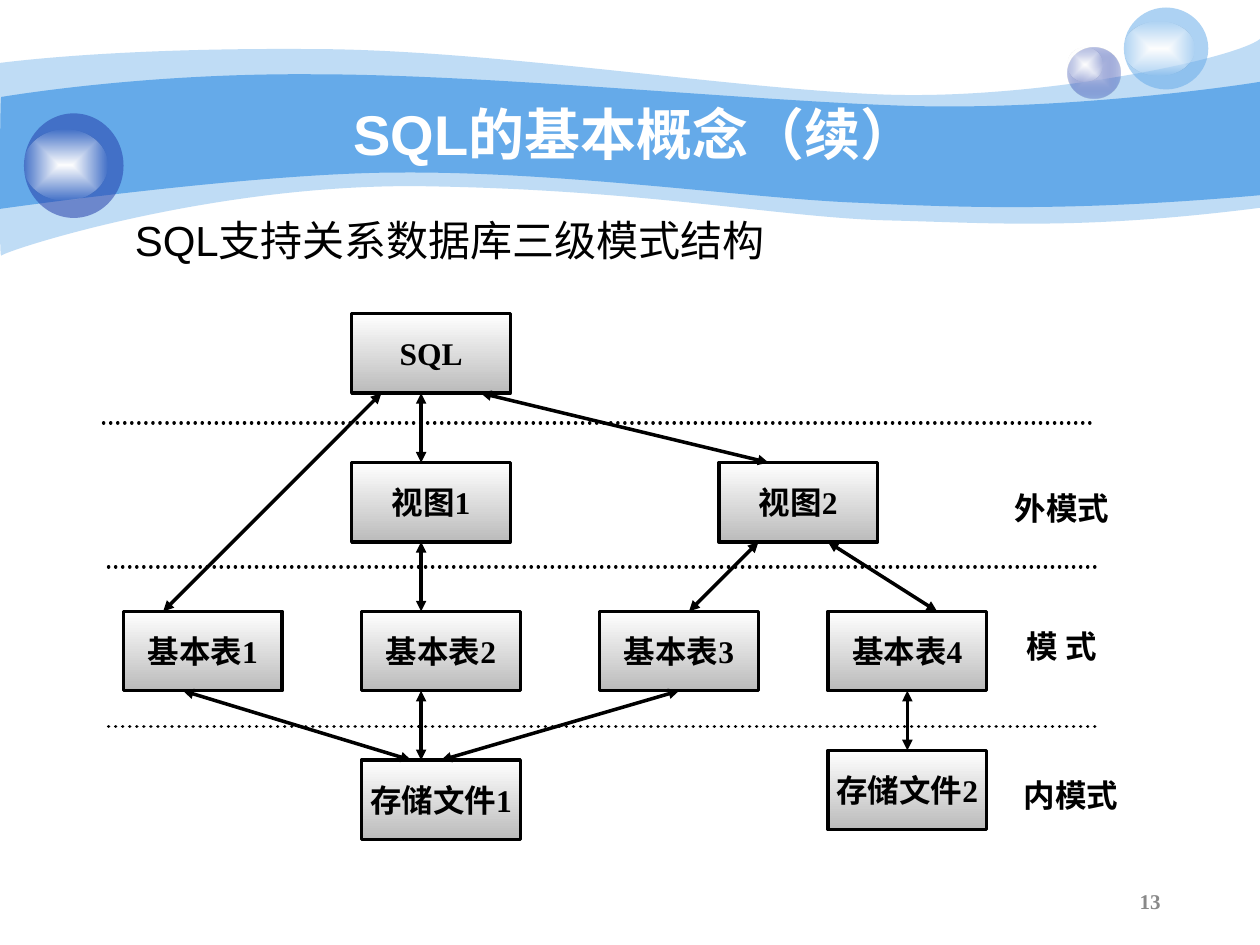
"""Build a slide on the three-level schema structure that SQL supports."""
from dataclasses import dataclass

from lxml.etree import SubElement
from pptx import Presentation
from pptx.dml.color import RGBColor
from pptx.enum.dml import MSO_LINE
from pptx.enum.shapes import MSO_CONNECTOR, MSO_SHAPE
from pptx.enum.text import MSO_ANCHOR as Anchor, PP_ALIGN as Align
from pptx.oxml.ns import qn
from pptx.util import Emu, Inches, Pt

COLORS = {"sky": "65AAE9", "navy": "233DA9", "pearl": "C7CEE9", "white": "FFFFFF",
          "silver": "BBBBBB", "black": "000000", "gray": "898989"}
ARIAL, TIMES = "Arial", "Times New Roman"


@dataclass(frozen=True)
class Grid:
    left: int
    top: int
    cell: int

    def point(self, column: float, row: float) -> tuple:
        return Emu(round(self.left + column * self.cell)), Emu(round(self.top + row * self.cell))

    def frame(self, column: float, row: float, columns: float, rows: float) -> tuple:
        return *self.point(column, row), Emu(round(columns * self.cell)), Emu(round(rows * self.cell))


@dataclass(frozen=True)
class Wave:
    alpha: int
    start: tuple
    sections: tuple


@dataclass(frozen=True)
class Ball:
    frame: tuple
    shine: tuple
    colors: tuple
    alpha: int


@dataclass(frozen=True)
class Node:
    text: str
    column: float
    row: float


@dataclass(frozen=True)
class Link:
    start: tuple
    end: tuple


BOX_COLUMNS, BOX_ROWS = 16, 8
PAGE = Grid(0, 0, Inches(0.1))
DIAGRAM = Grid(Inches(0.98), Inches(2.49), Inches(1.26) / BOX_COLUMNS)
VIEW_ROW, TABLE_ROW, FILE_ROW = 15, 30, 45

WAVES = (
    Wave(41, (0, 5), (
        ((2.4, 4.7), (10.7, 3.8), (24.7, 3.9)), ((38.6, 3.9), (57.5, 7), (69.9, 7.5)),
        ((82.2, 8), (98, 4.7), (100, 3.1)), ((100, 16.5),),
        ((85.8, 18.3), (78.7, 17.7), (70.5, 17.5)), ((62.2, 17.3), (51.5, 15.1), (34.3, 14.8)),
        ((17.2, 14.4), (0.4, 19.9), (0.1, 20.3)), ((-0.1, 20.8), (0, 7.5), (0, 5)))),
    Wave(100, (0.1, 7.7), (
        ((0.2, 7.7), (11, 5.8), (24.8, 5.9)), ((38.6, 5.9), (59.5, 8), (71.8, 8.4)),
        ((84.1, 8.8), (97.6, 6.9), (100, 6.5)), ((100, 15.5),),
        ((85.3, 16.8), (76.5, 16.5), (68.2, 16.1)), ((59.9, 15.8), (44.7, 13.6), (31.7, 13.7)),
        ((20.3, 13.7), (-0.2, 16.6), (-0.1, 16.6)), ((0, 16.6), (0, 7.7), (0.1, 7.7)))),
)
BALLS = (
    Ball((84.7, 3.8, 4.2, 4), (84.7, 3.8, 2.8, 2.7), ("pearl", "navy"), 31),
    Ball((89.2, 0.6, 6.7, 6.5), (89.2, 1.7, 5.6, 4.3), ("sky",), 53),
    Ball((1.9, 9, 7.9, 8.3), (1.9, 10.3, 6.6, 5.6), ("navy",), 53),
)
NODES = (
    Node("SQL", 23, 0), Node("视图2", 60, VIEW_ROW), Node("视图1", 23, VIEW_ROW),
    Node("基本表2", 24, TABLE_ROW), Node("基本表1", 0, TABLE_ROW),
    Node("基本表3", 48, TABLE_ROW), Node("基本表4", 71, TABLE_ROW),
    Node("存储文件2", 71, FILE_ROW - 1), Node("存储文件1", 24, FILE_ROW),
)
LINKS = (
    Link((26, 8), (4, 30)), Link((30, 8), (30, 15)), Link((30, 23), (30, 30)),
    Link((30, 38), (30, 45)), Link((36, 8), (65, 15)), Link((64, 23), (57, 30)),
    Link((71, 23), (82, 30)), Link((6, 38), (29, 45)), Link((56, 38), (32, 45)),
    Link((79, 38), (79, 44)),
)
DIVIDERS = (Link((-2, 11), (98, 11)), Link((-1.5, 25.5), (98.5, 25.5)),
            Link((-1.5, 41.6), (98.5, 41.6)))
LABELS = (Node("外模式", 87.1, 17), Node("模 式", 87.1, 31), Node("内模式", 88, 46))


def rgb(name: str) -> RGBColor:
    return RGBColor.from_string(COLORS[name])


def set_alpha(color, percent: int) -> None:
    SubElement(color, qn("a:alpha")).set("val", str(percent * 1000))


def fill_solid(shape, name: str, alpha: int = 100) -> None:
    shape.fill.solid()
    shape.fill.fore_color.rgb = rgb(name)
    if alpha < 100:
        set_alpha(next(shape.element.spPr.iter(qn("a:srgbClr"))), alpha)


def fill_gradient(shape, names: tuple, alpha: int = 100, centered: bool = False) -> None:
    shape.fill.gradient()
    for stop, name in zip(shape.fill.gradient_stops, names):
        stop.color.rgb = rgb(name)
    if not centered:
        shape.fill.gradient_angle = 270
        return
    gradient = shape.element.spPr.find(qn("a:gradFill"))
    set_alpha(list(gradient.iter(qn("a:srgbClr")))[-1], alpha)
    gradient.remove(gradient.find(qn("a:lin")))
    center = SubElement(gradient, qn("a:path"), {"path": "rect"})
    SubElement(center, qn("a:fillToRect"), {side: "50000" for side in "ltrb"})


def write(shape, text: str, *, size: float = 18, font: str = TIMES, color: str = "black",
          bold: bool = True, align=Align.CENTER, anchor=Anchor.MIDDLE,
          wrap: bool = True, spacing: float = 1.0) -> None:
    frame = shape.text_frame
    frame.word_wrap, frame.vertical_anchor = wrap, anchor
    paragraph = frame.paragraphs[0]
    paragraph.alignment, paragraph.line_spacing = align, spacing
    run = paragraph.add_run()
    run.text = text
    run.font.size, run.font.name, run.font.bold = Pt(size), font, bold
    run.font.color.rgb = rgb(color)


def add_text(slide, frame: tuple, text: str, **style) -> None:
    write(slide.shapes.add_textbox(*frame), text, **style)


def bend(shape, wave: Wave) -> None:
    lines = iter(list(shape.element.spPr.iter(qn("a:lnTo"))))
    for section in wave.sections:
        corners = [next(lines) for _ in section]
        if len(corners) == 3:
            outline = corners[0].getparent()
            curve = SubElement(outline, qn("a:cubicBezTo"))
            outline.replace(corners[0], curve)
            for corner in corners:
                curve.append(corner[0])
            for corner in corners[1:]:
                outline.remove(corner)


def add_wave(slide, wave: Wave) -> None:
    builder = slide.shapes.build_freeform(*PAGE.point(*wave.start))
    corners = [PAGE.point(*corner) for section in wave.sections for corner in section]
    builder.add_line_segments(corners, close=True)
    shape = builder.convert_to_shape()
    bend(shape, wave)
    shape.shadow.inherit = False
    fill_solid(shape, "sky", wave.alpha)
    shape.line.fill.background()


def add_preset(slide, kind, frame: tuple):
    shape = slide.shapes.add_shape(kind, *frame)
    shape.shadow.inherit = False
    shape.line.fill.background()
    return shape


def add_ball(slide, ball: Ball) -> None:
    body = add_preset(slide, MSO_SHAPE.OVAL, PAGE.frame(*ball.frame))
    if len(ball.colors) > 1:
        fill_gradient(body, ball.colors, ball.alpha, centered=True)
    else:
        fill_solid(body, ball.colors[0], ball.alpha)
    shine = add_preset(slide, MSO_SHAPE.OVAL, PAGE.frame(*ball.shine))
    fill_gradient(shine, ("white", "white"), 0, centered=True)


def add_node(slide, node: Node) -> None:
    frame = DIAGRAM.frame(node.column, node.row, BOX_COLUMNS, BOX_ROWS)
    shape = add_preset(slide, MSO_SHAPE.RECTANGLE, frame)
    fill_gradient(shape, ("white", "silver"))
    shape.line.color.rgb, shape.line.width = rgb("black"), Pt(2)
    write(shape, node.text, wrap=False)


def add_link(slide, link: Link, arrows: bool = True) -> None:
    ends = *DIAGRAM.point(*link.start), *DIAGRAM.point(*link.end)
    connector = slide.shapes.add_connector(MSO_CONNECTOR.STRAIGHT, *ends)
    connector.line.color.rgb, connector.line.width = rgb("black"), Pt(2)
    outline = connector.element.spPr.find(qn("a:ln"))
    if arrows:
        for end in ("a:headEnd", "a:tailEnd"):
            SubElement(outline, qn(end)).set("type", "triangle")
    else:
        connector.line.dash_style = MSO_LINE.ROUND_DOT
        outline.set("cap", "rnd")
    SubElement(connector.element.spPr, qn("a:effectLst"))


def main() -> None:
    presentation = Presentation()
    presentation.slide_width, presentation.slide_height = Inches(10), Inches(7.5)
    slide = presentation.slides.add_slide(presentation.slide_layouts[6])
    for wave in WAVES:
        add_wave(slide, wave)
    for ball in BALLS:
        add_ball(slide, ball)
    add_text(slide, PAGE.frame(10, 7.5, 80.8, 6.2), "SQL的基本概念（续）", size=32, font=ARIAL, color="white")
    for node in NODES:
        add_node(slide, node)
    for link in LINKS:
        add_link(slide, link)
    for divider in DIVIDERS:
        add_link(slide, divider, arrows=False)
    for label in LABELS:
        add_text(slide, DIAGRAM.frame(label.column, label.row, 15, 5), label.text, anchor=Anchor.TOP)
    add_text(slide, PAGE.frame(9.3, 14.9, 52.8, 6.6), "SQL支持关系数据库三级模式结构", size=24,
             font=ARIAL, bold=False, anchor=Anchor.TOP, wrap=False, spacing=1.4)
    add_text(slide, PAGE.frame(70.6, 69.5, 22.5, 4), "13", size=12, color="gray", align=Align.RIGHT)
    presentation.save("out.pptx")


if __name__ == "__main__":
    main()
